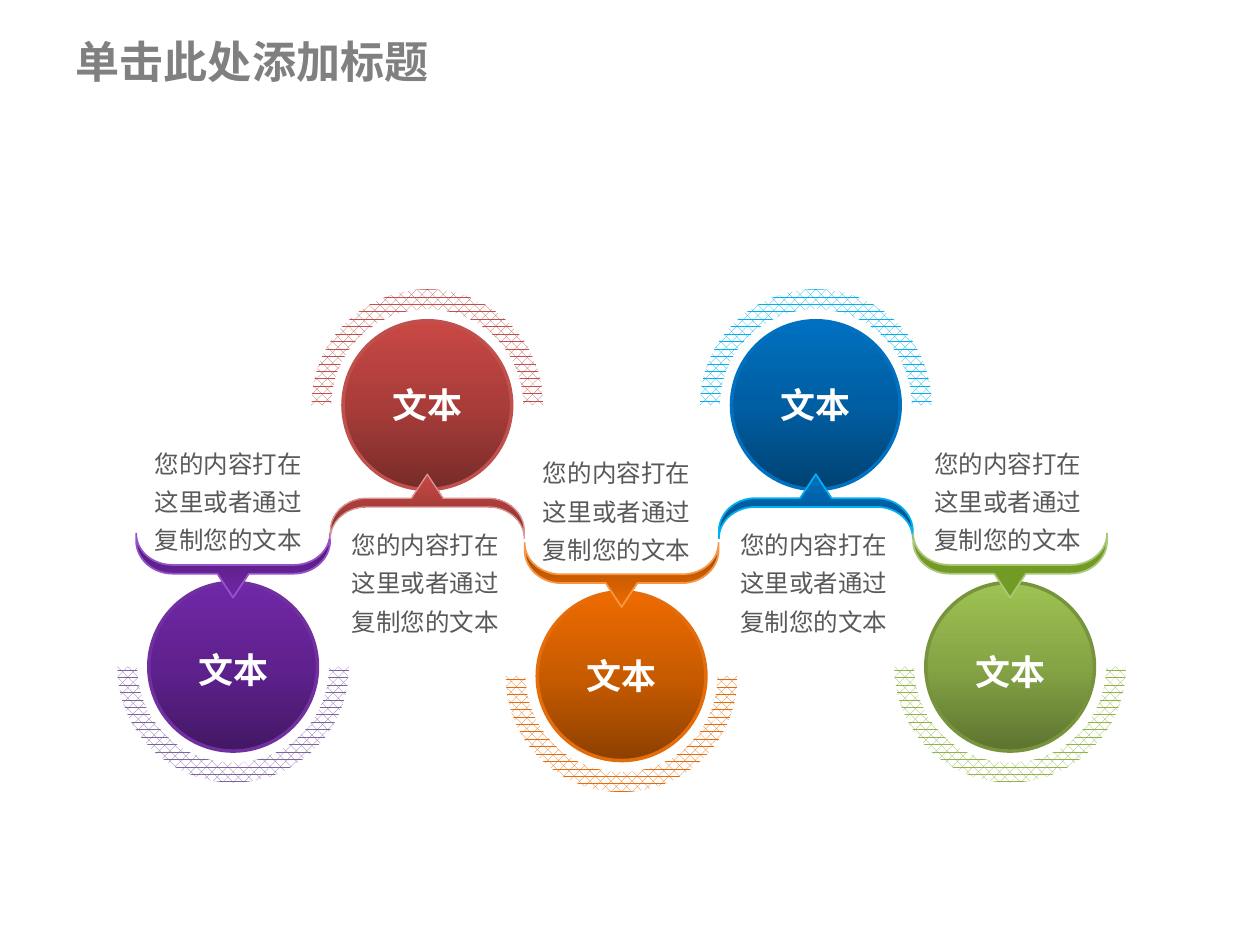
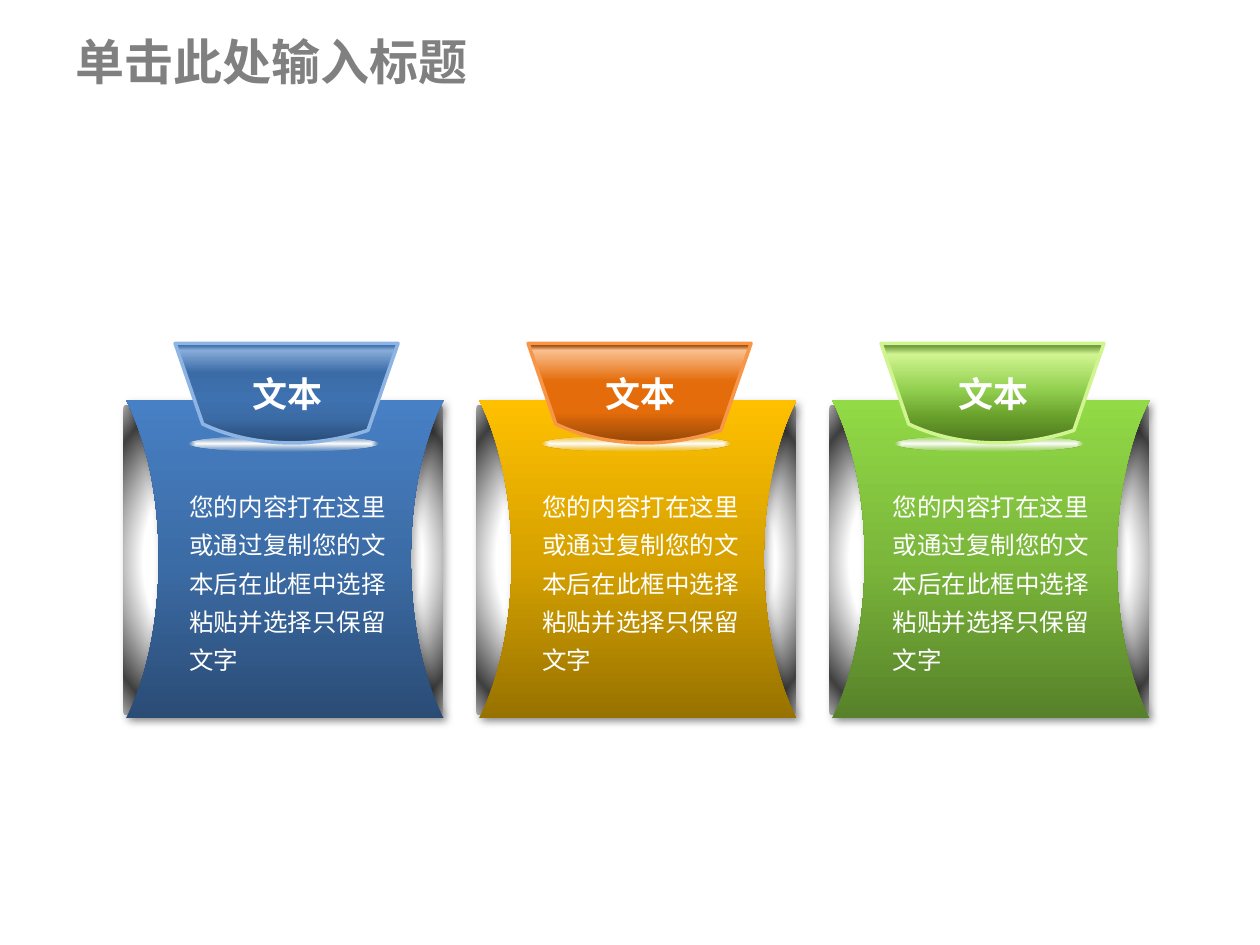
from lxml import etree
from pptx import Presentation
from pptx.dml.color import RGBColor
from pptx.enum.dml import MSO_PATTERN
from pptx.enum.shapes import MSO_SHAPE
from pptx.enum.text import MSO_ANCHOR, MSO_AUTO_SIZE, PP_ALIGN
from pptx.oxml.ns import qn
from pptx.util import Pt

ELLIPSE, RECTANGLE, BLOCK_ARC = MSO_SHAPE.OVAL, MSO_SHAPE.RECTANGLE, MSO_SHAPE.BLOCK_ARC
HATCH = MSO_PATTERN.PERCENT_60
LEFT, CENTER = PP_ALIGN.LEFT, PP_ALIGN.CENTER
MIDDLE, TOP = MSO_ANCHOR.MIDDLE, MSO_ANCHOR.TOP
FIT_SHAPE, NO_FIT = MSO_AUTO_SIZE.SHAPE_TO_FIT_TEXT, MSO_AUTO_SIZE.NONE
FONT = "Noto Sans CJK SC"

COLOURS = {
    "white": "FFFFFF", "black": "000000", "title": "808080", "note": "595959",
    "steel_dark": "404040", "steel_light": "A6A6A6", "glow": "EEECE1",
    "purple_dark": "431764", "purple_mid": "5F218E", "purple_light": "7128A8",
    "purple_edge": "7030A0", "purple_hatch": "8064A2", "purple_line": "9751CB",
    "red_dark": "772B29", "red_mid": "A93D3A", "red_light": "C94844",
    "red_edge": "C0504D", "red_hatch": "C0504D", "red_line": "D99694",
    "orange_dark": "8D4000", "orange_mid": "C85B00", "orange_light": "EE6B00",
    "orange_edge": "E46C0A", "orange_hatch": "E46C0A", "orange_line": "F79646",
    "blue_dark": "004272", "blue_mid": "005EA2", "blue_light": "0070C0",
    "blue_edge": "0070C0", "blue_hatch": "00B0F0", "blue_line": "00B0F0",
    "green_dark": "5D7330", "green_mid": "85A445", "green_light": "9EC252",
    "green_edge": "77933C", "green_hatch": "92B54B", "green_line": "ACC777",
    "green_bracket": "719B25",
    "navy_dark": "2A4C75", "navy_mid": "3C6CA6", "navy_light": "4780C5",
    "navy_line": "8EB4E3", "navy_foot": "284C78", "navy_body": "3E71AF",
    "navy_neck": "3B6CA7", "navy_shine": "87ACD9", "navy_rim": "3B6DA9",
    "gold_dark": "977200", "gold_mid": "D7A200", "gold_light": "FFC000",
    "gold_line": "F79646", "gold_foot": "984807", "gold_body": "E46C0A",
    "gold_shine": "FAC090",
    "lime_dark": "57812A", "lime_mid": "7BB73B", "lime_light": "92DA46",
    "lime_line": "D0F490", "lime_foot": "4D7620", "lime_low": "679E2A",
    "lime_body": "92D050", "lime_rim": "517D22",
}

LABEL = {"size": Pt(20), "bold": True}
BODY = {"size": Pt(14), "bold": False}
NOTE_TEXT = "您的内容打在这里或者通过复制您的文本"
PANEL_TEXT = "您的内容打在这里或通过复制您的文本后在此框中选择粘贴并选择只保留文字"

STEP_LEFT, STEP_PITCH = 133.2, 111
UPPER, LOWER = 231.5, 381
STEPS = [
    ("purple", LOWER, -1, 1.5, -52), ("red", UPPER, 1, 0, -50.4),
    ("orange", LOWER + 5.4, -1, 0, -52), ("blue", UPPER, 1, 0, -50.4),
    ("green", LOWER, -1, 3, -50.4),
]
BRACKET_SPANS = (1, 1, 3, 1, 3, 1, 3, 1, 3, 1)

PANEL_LEFT, PANEL_TOP, PANEL_PITCH = 72, 228.5, 201.7
PANEL_WIDTH, PANEL_HEIGHT = 181.5, 181.9
SHEET_SPANS, TAB_SPANS = (3, 3, 1, 3, 3), (1, 1, 3, 3)
TAB_POINTS = [(0, 0), (127.4, 0), (110.2, 49.7), (97.2, 54), (82.8, 56.9), (67, 56.9),
              (48.2, 56.9), (31, 53.3), (15.8, 46.1)]
STEEL = [(63, "white"), (89, "steel_dark"), (100, "steel_light")]
PANELS = [
    ("navy", 29.2, [(1, "navy_foot"), (25, "navy_mid"), (45, "navy_body"),
                    (71, "navy_neck"), (93, "navy_shine"), (98, "navy_rim")]),
    ("gold", 29.2, [(1, "gold_foot"), (31, "gold_body"), (53, "gold_body"),
                    (62, "gold_body"), (93, "gold_shine"), (98, "gold_foot")]),
    ("lime", 27.7, [(1, "lime_foot"), (25, "lime_low"), (54, "lime_body"),
                    (89, "lime_line"), (100, "lime_rim")]),
]


def colour(name):
    """Return a named colour."""
    return RGBColor.from_string(COLOURS[name])


def apply(target, values):
    """Set each attribute of a target from a dict."""
    for name, value in values.items():
        setattr(target, name, value)


def child(parent, tag, **attributes):
    """Add a drawing element with attributes."""
    texts = {name: str(value) for name, value in attributes.items()}
    return etree.SubElement(parent, qn(tag), texts)


def ramp(hue):
    """Return the dark to light stops of a hue."""
    return [(0, f"{hue}_dark"), (50, f"{hue}_mid"), (100, f"{hue}_light")]


def fill_gradient(shape, stops, angle=270, radial=None, clear_end=False):
    """Fill a shape along an angle, or from its centre outwards."""
    shape.fill.gradient()
    gradient = shape._element.spPr.find(qn("a:gradFill"))
    for part in list(gradient):
        gradient.remove(part)
    stop_list = child(gradient, "a:gsLst")
    for position, name in stops:
        stop = child(stop_list, "a:gs", pos=position * 1000)
        tone = child(stop, "a:srgbClr", val=COLOURS[name])
    if clear_end:
        child(tone, "a:alpha", val=0)
    if radial:
        centre = child(gradient, "a:path", path=radial)
        child(centre, "a:fillToRect", l=50000, t=50000, r=50000, b=50000)
    else:
        child(gradient, "a:lin", ang=angle * 60000, scaled=0)


def set_outline(shape, name=None, width=0):
    """Remove the theme shadow and set or hide the outline."""
    shape.shadow.inherit = False
    if name:
        shape.line.color.rgb = colour(name)
        shape.line.width = Pt(width)
    else:
        shape.line.fill.background()


def add_shadow(shape):
    """Add a soft shadow to the lower right."""
    effects = shape._element.spPr.find(qn("a:effectLst"))
    shadow = child(effects, "a:outerShdw", blurRad=Pt(4.5), dist=Pt(2.6),
                   dir=53 * 60000, algn="tl", rotWithShape=0)
    tone = child(shadow, "a:srgbClr", val=COLOURS["black"])
    child(tone, "a:alpha", val=30000)


def add_preset(page, kind, left, top, width, height):
    """Add a preset shape measured in points."""
    return page.shapes.add_shape(kind, Pt(left), Pt(top), Pt(width), Pt(height))


def add_outline(page, points, spans, left, top):
    """Add a closed outline; a span of one point is a line, of three a curve."""
    spots = [(Pt(left + x), Pt(top + y)) for x, y in points]
    builder = page.shapes.build_freeform(*spots[0])
    builder.add_line_segments(spots[1:], close=True)
    shape = builder.convert_to_shape()
    lines = iter(list(shape._element.iter(qn("a:lnTo"))))
    for span in spans:
        first, *others = [next(lines) for _ in range(span)]
        if others:
            first.tag = qn("a:cubicBezTo")
        for line in others:
            first.append(line[0])
            line.getparent().remove(line)
    return shape


def write(frame, text, style, tone, align=LEFT, spacing=None, fit=FIT_SHAPE, anchor=TOP):
    """Write one formatted paragraph into a frame."""
    apply(frame, {"word_wrap": True, "auto_size": fit, "vertical_anchor": anchor})
    para = frame.paragraphs[0]
    apply(para, {"alignment": align, "line_spacing": spacing})
    span = para.add_run()
    span.text = text
    apply(span.font, {"name": FONT, **style})
    span.font.color.rgb = colour(tone)
    child(span._r.get_or_add_rPr(), "a:ea", typeface=FONT)


def add_text(page, left, top, width, height, *content, **layout):
    """Add a text box measured in points."""
    box = page.shapes.add_textbox(Pt(left), Pt(top), Pt(width), Pt(height))
    write(box.text_frame, *content, **layout)


def add_page(deck, title, size):
    """Add a page with its grey title."""
    page = deck.slides.add_slide(deck.slide_layouts[5])
    holder = page.shapes.title
    apply(holder, {"left": Pt(36), "top": Pt(14.8), "width": Pt(648), "height": Pt(40)})
    write(holder.text_frame, title, {"size": Pt(size), "bold": True}, "title",
          fit=NO_FIT, anchor=MIDDLE)
    return page


def bracket_points(side):
    """Return a pointed bracket, tip first, opening down or up."""
    half = [(0, 0), (9, 13.7), (34.6, 13.7), (46.1, 13.7), (55.4, 22.3), (55.4, 32.4),
            (55.4, 36.7), (55.4, 26.6), (46.1, 18.7), (34.6, 18.7)]
    points = half + [(-x, y) for x, y in reversed(half[1:])]
    return [(x, y * side) for x, y in points]


def add_step(page, x, y, hue, side, label_shift, note_shift):
    """Add a disc centred on x and y with its arc, bracket and texts."""
    disc = add_preset(page, ELLIPSE, x - 48.2, y - 48.2, 96.4, 96.4)
    fill_gradient(disc, ramp(hue))
    set_outline(disc, f"{hue}_edge", 2)

    arc = add_preset(page, BLOCK_ARC, x - 66.2, y - 66.2, 132.4, 132.4)
    for index, value in enumerate((108, 0, 0.086)):
        arc.adjustments[index] = value
    if side < 0:
        arc._element.spPr.xfrm.set("flipV", "1")
    arc.fill.patterned()
    arc.fill.pattern = HATCH
    arc.fill.fore_color.rgb = colour(f"{hue}_hatch")
    arc.fill.back_color.rgb = colour("white")
    set_outline(arc)

    bracket = add_outline(page, bracket_points(side), BRACKET_SPANS, x, y + 39.5 * side)
    if f"{hue}_bracket" in COLOURS:
        bracket.fill.solid()
        bracket.fill.fore_color.rgb = colour(f"{hue}_bracket")
    else:
        fill_gradient(bracket, ramp(hue), angle=270 if side > 0 else 90)
    set_outline(bracket, f"{hue}_line", 0.75 if hue == "red" else 1)

    add_text(page, x - 35.3, y - 15.7 + label_shift, 70.6, 31.5,
             "文本", LABEL, "white", align=CENTER)
    add_text(page, x + note_shift, y + (62.9 if side > 0 else -133), 100.2, 73.6,
             NOTE_TEXT, BODY, "note", spacing=1.3)


def sheet_points():
    """Return a sheet with both sides curved inwards, from its top right."""
    upper = [(0, 0), (11.5, 22.3), (18.7, 54.7), (18.7, PANEL_HEIGHT / 2)]
    side = upper + [(x, PANEL_HEIGHT - y) for x, y in reversed(upper[:-1])]
    return [(PANEL_WIDTH - x, y) for x, y in side] + side[::-1]


def add_panel(page, left, top, hue, text_shift, tab_stops):
    """Add a tabbed panel with its steel backing and texts."""
    backing = add_preset(page, RECTANGLE, left - 1.3, top + 3.4, 182.2, 176.4)
    fill_gradient(backing, STEEL, radial="circle")
    sheet = add_outline(page, sheet_points(), SHEET_SPANS, left, top)
    fill_gradient(sheet, ramp(hue))
    for shape in (backing, sheet):
        set_outline(shape)
        add_shadow(shape)

    glow = add_preset(page, ELLIPSE, left + 36, top + 20.4, 108, 9.4)
    fill_gradient(glow, [(0, "white"), (100, "glow")], radial="shape", clear_end=True)
    set_outline(glow)

    tab = add_outline(page, TAB_POINTS, TAB_SPANS, left + 28.1, top - 32.3)
    fill_gradient(tab, tab_stops)
    set_outline(tab, f"{hue}_line", 2)

    add_text(page, left + 48.4, top - 26.2, 87.8, 36,
             "文本", LABEL, "white", align=CENTER, spacing=1.3)
    add_text(page, left + text_shift, top + 44.2, 136, 117.4,
             PANEL_TEXT, BODY, "white", spacing=1.3)


def main():
    """Build and save the deck."""
    deck = Presentation()
    apply(deck, {"slide_width": Pt(720), "slide_height": Pt(540)})
    page = add_page(deck, "单击此处添加标题", 25.2)
    for index, (hue, y, *details) in enumerate(STEPS):
        add_step(page, STEP_LEFT + index * STEP_PITCH, y, hue, *details)
    page = add_page(deck, "单击此处输入标题", 28)
    for index, details in enumerate(PANELS):
        add_panel(page, PANEL_LEFT + index * PANEL_PITCH, PANEL_TOP, *details)
    deck.save("out.pptx")


if __name__ == "__main__":
    main()
